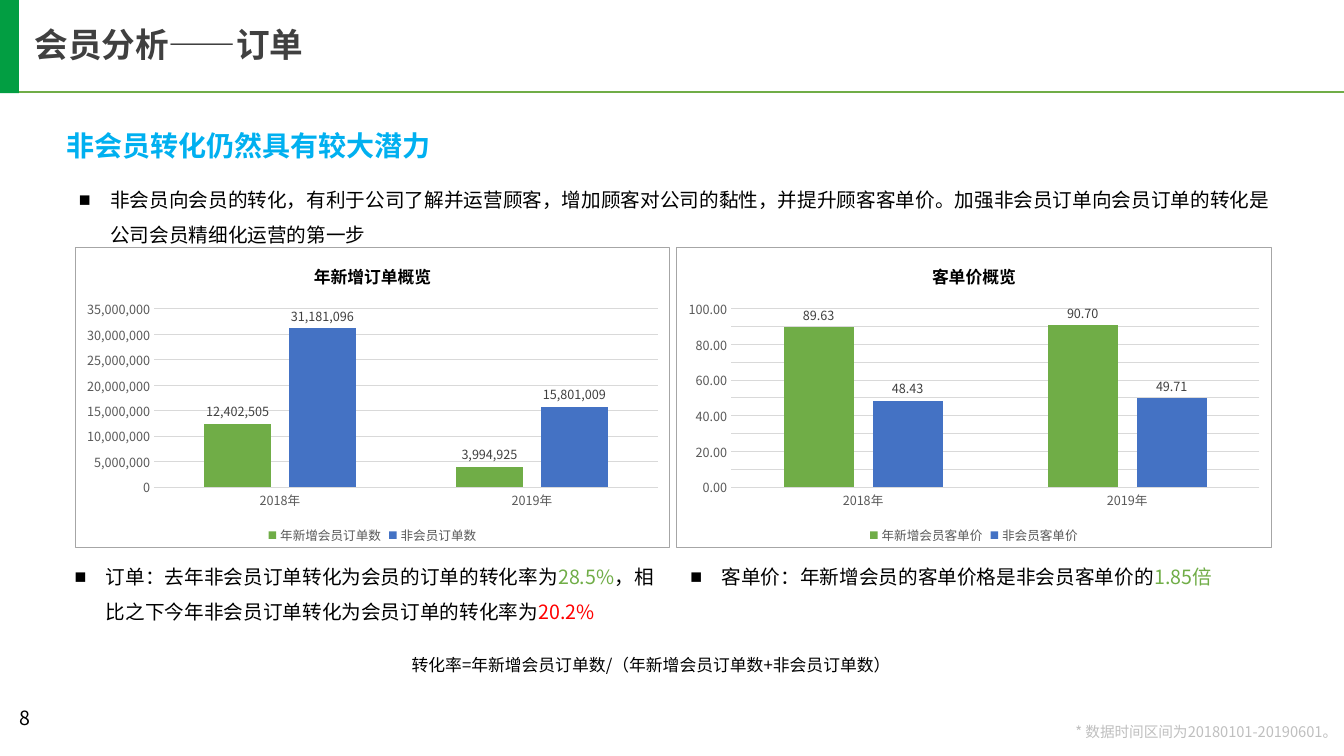
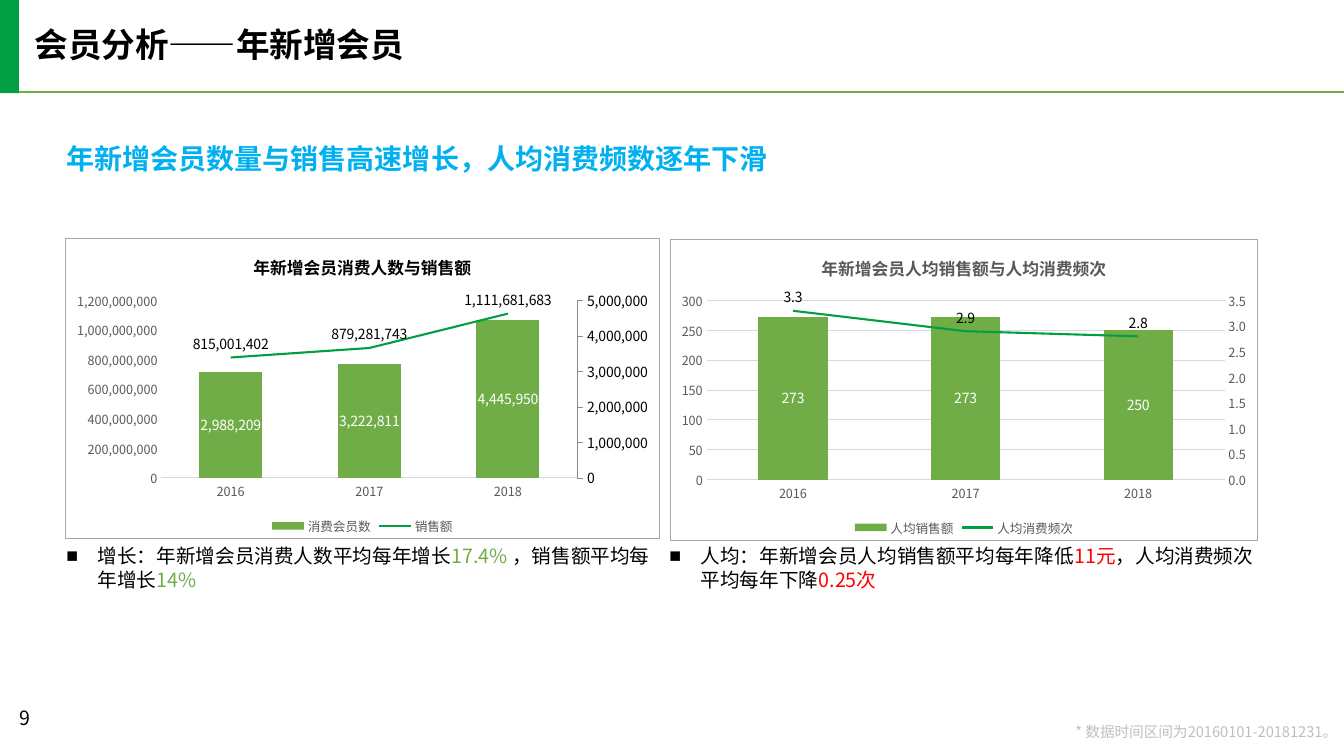
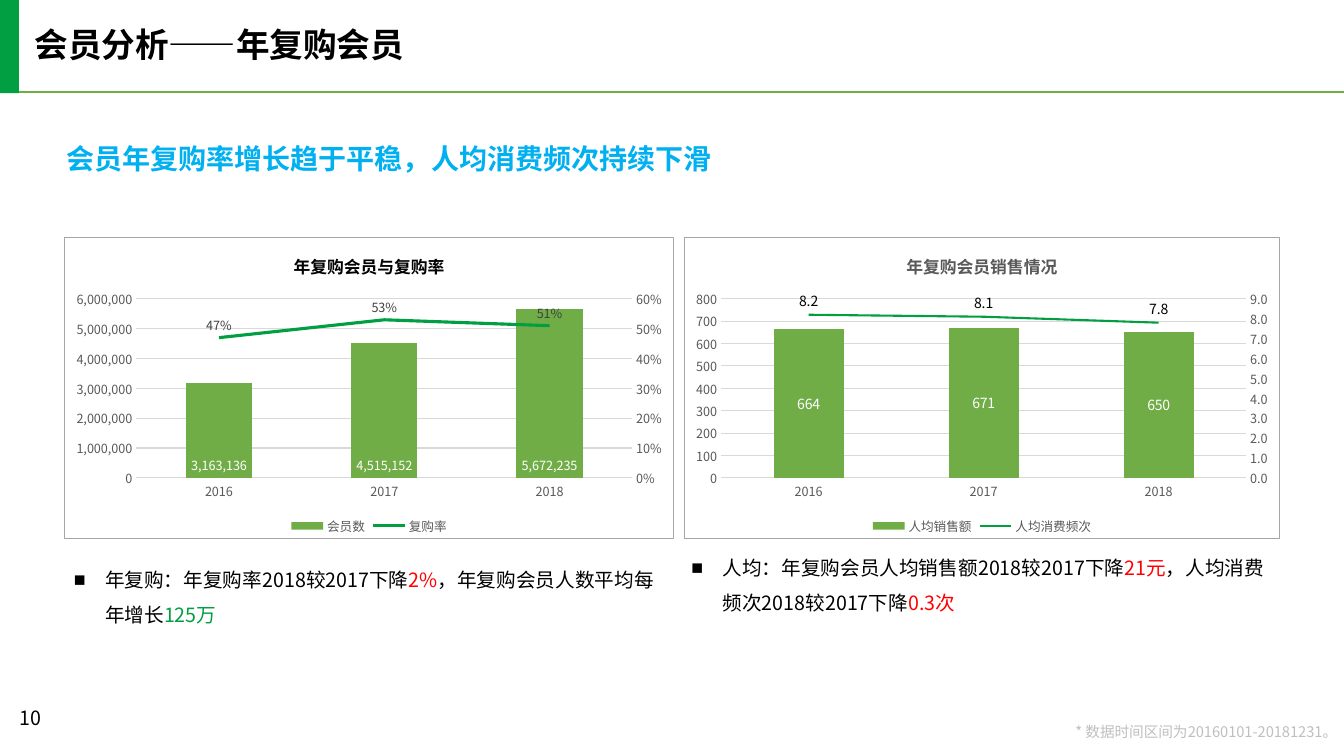
"""Build three member-analysis slides with column and combined charts."""
from copy import deepcopy
from dataclasses import dataclass

from pptx import Presentation
from pptx.chart.axis import CategoryAxis, ValueAxis
from pptx.chart.data import CategoryChartData
from pptx.dml.color import RGBColor
from pptx.enum.chart import XL_CHART_TYPE, XL_LABEL_POSITION, XL_LEGEND_POSITION, XL_MARKER_STYLE, XL_TICK_MARK
from pptx.enum.shapes import MSO_CONNECTOR, MSO_SHAPE
from pptx.enum.text import MSO_ANCHOR, PP_ALIGN
from pptx.oxml import parse_xml
from pptx.oxml.ns import nsdecls, qn
from pptx.util import Inches, Pt


@dataclass(frozen=True)
class Theme:
    font: str = "Noto Sans CJK SC"
    band: RGBColor = RGBColor(0x02, 0x9E, 0x42)
    green: RGBColor = RGBColor(0x70, 0xAD, 0x47)
    blue: RGBColor = RGBColor(0x44, 0x72, 0xC4)
    sky: RGBColor = RGBColor(0x00, 0xB0, 0xF0)
    red: RGBColor = RGBColor(0xFF, 0x00, 0x00)
    black: RGBColor = RGBColor(0x00, 0x00, 0x00)
    white: RGBColor = RGBColor(0xFF, 0xFF, 0xFF)
    dark: RGBColor = RGBColor(0x40, 0x40, 0x40)
    grey: RGBColor = RGBColor(0x59, 0x59, 0x59)
    ruler: RGBColor = RGBColor(0x8C, 0x8C, 0x8C)
    pale: RGBColor = RGBColor(0xBF, 0xBF, 0xBF)
    grid: RGBColor = RGBColor(0xD9, 0xD9, 0xD9)
    frame: str = "A6A6A6"
    title_size: float = 24
    headline_size: float = 20
    body_size: float = 14
    caption_size: float = 12
    note_size: float = 10.5
    label_size: float = 10
    axis_size: float = 9


THEME = Theme()


@dataclass(frozen=True)
class Series:
    name: str
    values: tuple
    fmt: str
    colour: RGBColor = THEME.green
    label_colour: RGBColor = THEME.white
    label_size: float = THEME.label_size
    place: XL_LABEL_POSITION = XL_LABEL_POSITION.CENTER
    width: float = 1.5


class Deck:
    COLUMNS, ROWS = 160, 90

    def __init__(self, theme):
        self.theme = theme
        self.deck = Presentation()
        self.deck.slide_width, self.deck.slide_height = Inches(13.33), Inches(7.5)
        self.slide = None

    def x(self, columns):
        return round(self.deck.slide_width * columns / self.COLUMNS)

    def y(self, rows):
        return round(self.deck.slide_height * rows / self.ROWS)

    def place(self, box):
        left, top, width, height = box
        return self.x(left), self.y(top), self.x(width), self.y(height)

    def style(self, font, size, colour, bold=False):
        font.name, font.size, font.bold = self.theme.font, Pt(size), bold
        font.color.rgb = colour

    def pair_fonts(self, element):
        for latin in list(element.iter(qn("a:latin"))):
            latin.addnext(parse_xml(f'<a:ea {nsdecls("a")} typeface="{self.theme.font}"/>'))

    def text(self, box, parts, size, bold=False, spacing=1.0, anchor=MSO_ANCHOR.TOP,
             align=PP_ALIGN.LEFT, margin=0.0, wrap=True, bullet=False):
        words = self.slide.shapes.add_textbox(*self.place(box))
        frame = words.text_frame
        frame.word_wrap, frame.vertical_anchor = wrap, anchor
        frame.margin_left = frame.margin_right = Inches(margin)
        frame.margin_top = frame.margin_bottom = Inches(margin / 2)
        paragraph = frame.paragraphs[0]
        paragraph.alignment, paragraph.line_spacing = align, spacing
        for wording, colour in parts:
            run = paragraph.add_run()
            run.text = wording
            self.style(run.font, size, colour, bold)
        if bullet:
            properties = paragraph._p.get_or_add_pPr()
            indent = Inches(0.31)
            properties.set("marL", str(indent))
            properties.set("indent", str(-indent))
            properties.append(parse_xml(f'<a:buFont {nsdecls("a")} typeface="Arial"/>'))
            properties.append(parse_xml(f'<a:buChar {nsdecls("a")} char="■"/>'))
        self.pair_fonts(words.element)

    def point(self, box, parts, spacing=1.5, anchor=MSO_ANCHOR.MIDDLE):
        self.text(box, parts, self.theme.body_size, spacing=spacing, anchor=anchor, bullet=True)

    def page(self, number, title, headline, period, title_colour=THEME.black, headline_row=17.9):
        theme = self.theme
        self.slide = self.deck.slides.add_slide(self.deck.slide_layouts[6])
        rule = self.slide.shapes.add_connector(
            MSO_CONNECTOR.STRAIGHT, 0, self.y(11), self.x(self.COLUMNS), self.y(11))
        rule.line.color.rgb, rule.line.width = theme.green, Pt(1.5)
        rule.element.spPr.append(parse_xml(f'<a:effectLst {nsdecls("a")}/>'))
        band = self.slide.shapes.add_shape(MSO_SHAPE.RECTANGLE, *self.place((0, 0, 2.25, 11.1)))
        band.shadow.inherit = False
        band.fill.solid()
        band.fill.fore_color.rgb = theme.band
        band.line.fill.background()
        self.text((4.1, 3.4, 75.5, 4.3), [(title, title_colour)], theme.title_size, True, 0.9)
        self.text((7.9, headline_row, 144.7, 3), [(headline, theme.sky)], theme.headline_size,
                  True, Pt(18), MSO_ANCHOR.MIDDLE)
        self.text((1.1, 83.4, 10.9, 4.8), [(str(number), theme.black)], theme.body_size, margin=0.1)
        self.text((126.5, 86.3, 32.7, 1.9), [(f"* 数据时间区间为{period}。", theme.pale)],
                  theme.note_size, spacing=0.9, align=PP_ALIGN.RIGHT, wrap=False)

    def overlay_line(self, chart, bars_right):
        area = chart.element.find(".//" + qn("c:plotArea"))
        bars, category, value = (area.find(qn(tag)) for tag in ("c:barChart", "c:catAx", "c:valAx"))
        trend_series = bars.findall(qn("c:ser"))[-1]
        for inversion in trend_series.findall(qn("c:invertIfNegative")):
            trend_series.remove(inversion)
        line = parse_xml(
            f'<c:lineChart {nsdecls("c")}><c:grouping val="standard"/><c:varyColors val="0"/>'
            '<c:marker val="1"/><c:axId val="5001"/><c:axId val="5002"/></c:lineChart>')
        line.insert(2, trend_series)
        bars.addnext(line)
        line_category, line_value = deepcopy(category), deepcopy(value)
        for axis, own, other in ((line_category, "5001", "5002"), (line_value, "5002", "5001")):
            axis.find(qn("c:axId")).set("val", own)
            axis.find(qn("c:crossAx")).set("val", other)
        value.addnext(line_value)
        line_value.addnext(line_category)
        right = value if bars_right else line_value
        right.find(qn("c:axPos")).set("val", "r")
        right.find(qn("c:crosses")).set("val", "max")
        return CategoryAxis(line_category), ValueAxis(line_value)

    def value_axis(self, axis, fmt, grid, ruled=False):
        theme = self.theme
        axis.minimum_scale = 0
        axis.has_major_gridlines = grid
        if grid:
            axis.major_gridlines.format.line.color.rgb = theme.grid
            axis.major_gridlines.format.line.width = Pt(0.75)
        axis.tick_labels.number_format, axis.tick_labels.number_format_is_linked = fmt, False
        axis.major_tick_mark = XL_TICK_MARK.OUTSIDE if ruled else XL_TICK_MARK.NONE
        if ruled:
            self.style(axis.tick_labels.font, theme.label_size, theme.black)
            axis.format.line.color.rgb, axis.format.line.width = theme.ruler, Pt(0.5)
        else:
            self.style(axis.tick_labels.font, theme.axis_size, theme.grey)
            axis.format.line.fill.background()

    def category_axis(self, axis):
        axis.major_tick_mark = XL_TICK_MARK.NONE
        axis.format.line.color.rgb, axis.format.line.width = self.theme.grid, Pt(0.75)
        self.style(axis.tick_labels.font, self.theme.axis_size, self.theme.grey)

    def chart(self, box, title, categories, series, combined=False, bars_right=False,
              title_colour=THEME.black, gap=150):
        theme = self.theme
        data = CategoryChartData()
        data.categories = categories
        for one in series:
            data.add_series(one.name, one.values, one.fmt)
        chart = self.slide.shapes.add_chart(
            XL_CHART_TYPE.COLUMN_CLUSTERED, *self.place(box), data).chart
        self.style(chart.font, theme.label_size, theme.black)
        chart.element.find(qn("c:chart")).addnext(parse_xml(
            f'<c:spPr {nsdecls("c", "a")}><a:solidFill><a:srgbClr val="{theme.white}"/></a:solidFill>'
            f'<a:ln w="{Pt(0.75)}"><a:solidFill><a:srgbClr val="{theme.frame}"/></a:solidFill></a:ln></c:spPr>'))
        chart.has_title = True
        chart.chart_title.include_in_layout = False
        caption = chart.chart_title.text_frame
        caption.text = title
        self.style(caption.paragraphs[0].runs[0].font, theme.caption_size, title_colour, True)
        chart.has_legend = True
        chart.legend.position, chart.legend.include_in_layout = XL_LEGEND_POSITION.BOTTOM, False
        self.style(chart.legend.font, theme.axis_size, theme.grey)

        category, value = chart.category_axis, chart.value_axis
        if combined:
            line_category, line_value = self.overlay_line(chart, bars_right)
            self.category_axis(line_category)
            self.value_axis(line_value, series[-1].fmt, grid=bars_right)
            line_category.visible, category.visible = bars_right, not bars_right
        self.category_axis(category)
        self.value_axis(value, series[0].fmt, grid=not bars_right, ruled=bars_right)

        columns = chart.plots[0]
        columns.gap_width, columns.overlap, columns.vary_by_categories = gap, -27, False
        for one, drawn in zip(series, chart.series):
            if combined and one is series[-1]:
                drawn.format.line.color.rgb, drawn.format.line.width = one.colour, Pt(one.width)
                drawn.marker.style, drawn.smooth = XL_MARKER_STYLE.NONE, False
            else:
                drawn.format.fill.solid()
                drawn.format.fill.fore_color.rgb = one.colour
            labels = drawn.data_labels
            labels.show_value, labels.position = True, one.place
            labels.number_format, labels.number_format_is_linked = one.fmt, False
            self.style(labels.font, one.label_size, one.label_colour)
        self.pair_fonts(chart.element)


def column(name, values, fmt, colour):
    return Series(name, values, fmt, colour, THEME.dark, THEME.axis_size, XL_LABEL_POSITION.OUTSIDE_END)


def trend(name, values, fmt, label_colour=THEME.black, label_size=THEME.label_size, width=1.5):
    return Series(name, values, fmt, THEME.band, label_colour, label_size, XL_LABEL_POSITION.ABOVE, width)


def orders(deck):
    black, green, red = THEME.black, THEME.green, THEME.red
    years = ("2018年", "2019年")
    count, price = "#,##0", "0.00"
    deck.page(8, "会员分析——订单", "非会员转化仍然具有较大潜力", "20180101-20190601", THEME.dark, 16.3)
    deck.point((9.4, 21, 142.2, 8.4), [
        ("非会员向会员的转化，有利于公司了解并运营顾客，增加顾客对公司的黏性，并提升顾客客单价。"
         "加强非会员订单向会员订单的转化是公司会员精细化运营的第一步", black)], anchor=MSO_ANCHOR.TOP)
    deck.chart((8.9, 29.4, 70.9, 35.9), "年新增订单概览", years, (
        column("年新增会员订单数", (12402505, 3994925), count, green),
        column("非会员订单数", (31181096, 15801009), count, THEME.blue)))
    deck.chart((80.5, 29.4, 70.9, 35.9), "客单价概览", years, (
        column("年新增会员客单价", (89.63, 90.7), price, green),
        column("非会员客单价", (48.43, 49.71), price, THEME.blue)))
    deck.point((8.9, 65.8, 69, 9.1), [
        ("订单：去年非会员订单转化为会员的订单的转化率为", black), ("28.5%", green),
        ("，相比之下今年非会员订单转化为会员订单的转化率为", black), ("20.2%", red)], anchor=MSO_ANCHOR.TOP)
    deck.point((82.2, 65.8, 67, 4.2), [
        ("客单价：年新增会员的客单价格是非会员客单价的", black), ("1.85倍", green)], anchor=MSO_ANCHOR.TOP)
    deck.text((49, 76.7, 69, 9.1), [
        ("转化率=年新增会员订单数/（年新增会员订单数+非会员订单数）", black)], THEME.caption_size, spacing=1.5)


def new_members(deck):
    black, green, red = THEME.black, THEME.green, THEME.red
    years = ("2016", "2017", "2018")
    deck.page(9, "会员分析——年新增会员", "年新增会员数量与销售高速增长，人均消费频数逐年下滑", "20160101-20181231")
    deck.chart((7.7, 28.3, 70.9, 35.9), "年新增会员消费人数与销售额", years, (
        Series("消费会员数", (2988209, 3222811, 4445950), "#,##0"),
        trend("销售额", (815001402, 879281743, 1111681683), "#,##0")),
        combined=True, bars_right=True, gap=120)
    deck.chart((79.7, 28.4, 70.1, 36), "年新增会员人均销售额与人均消费频次", years, (
        Series("人均销售额", (273, 273, 250), "0"),
        trend("人均消费频次", (3.3, 2.9, 2.8), "0.0")),
        combined=True, title_colour=THEME.grey)
    deck.point((7.9, 64.8, 70.4, 5.6), [
        ("增长：年新增会员消费人数平均每年增长", black), ("17.4% ", green),
        ("，销售额平均每年增长", black), ("14%", green)], spacing=1.0)
    deck.point((79.7, 64.8, 70.1, 5.6), [
        ("人均：年新增会员人均销售额平均每年降低", black), ("11元", red),
        ("，人均消费频次平均每年下降", black), ("0.25次", red)], spacing=1.0)


def returning_members(deck):
    black, red = THEME.black, THEME.red
    years = ("2016", "2017", "2018")
    deck.page(10, "会员分析——年复购会员", "会员年复购率增长趋于平稳，人均消费频次持续下滑", "20160101-20181231")
    deck.chart((7.6, 28.2, 72.7, 36), "年复购会员与复购率", years, (
        Series("会员数", (3163136, 4515152, 5672235), "#,##0",
               label_size=THEME.axis_size, place=XL_LABEL_POSITION.INSIDE_BASE),
        trend("复购率", (0.47, 0.53, 0.51), "0%", THEME.dark, THEME.axis_size, 2.25)),
        combined=True)
    deck.chart((81.4, 28.2, 71, 36), "年复购会员销售情况", years, (
        Series("人均销售额", (664, 671, 650), "0"),
        trend("人均消费频次", (8.2, 8.1, 7.8), "0.0")),
        combined=True, title_colour=THEME.grey)
    deck.point((8.8, 66.4, 71.3, 8), [
        ("年复购：年复购率2018较2017下降", black), ("2%", red),
        ("，年复购会员人数平均每年增长", black), ("125万", THEME.band)])
    deck.point((82.3, 65, 70.2, 8), [
        ("人均：年复购会员人均销售额2018较2017下降", black), ("21元", red),
        ("，人均消费频次2018较2017下降", black), ("0.3次", red)])


def main():
    deck = Deck(THEME)
    for build in (orders, new_members, returning_members):
        build(deck)
    deck.deck.save("out.pptx")


if __name__ == "__main__":
    main()
